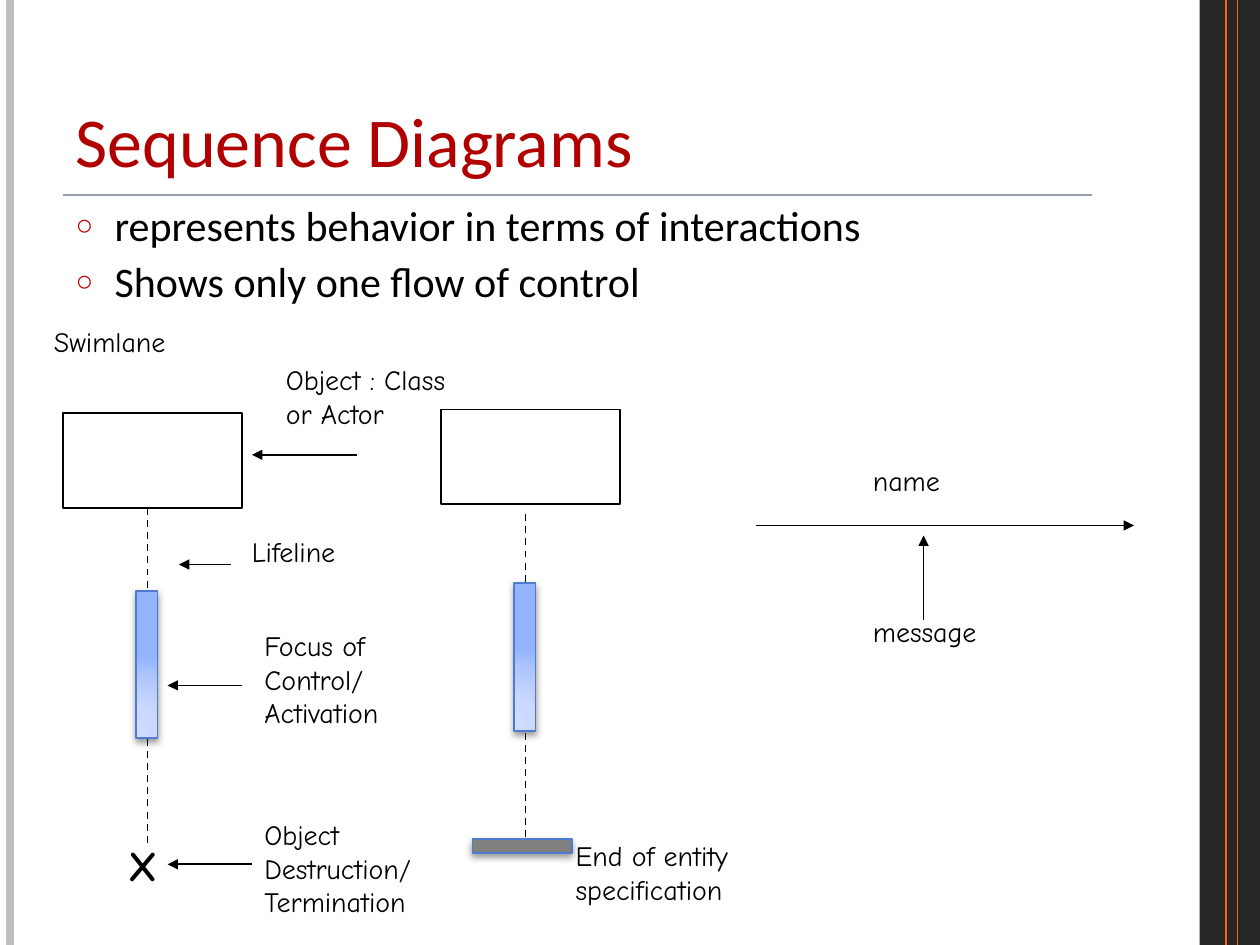
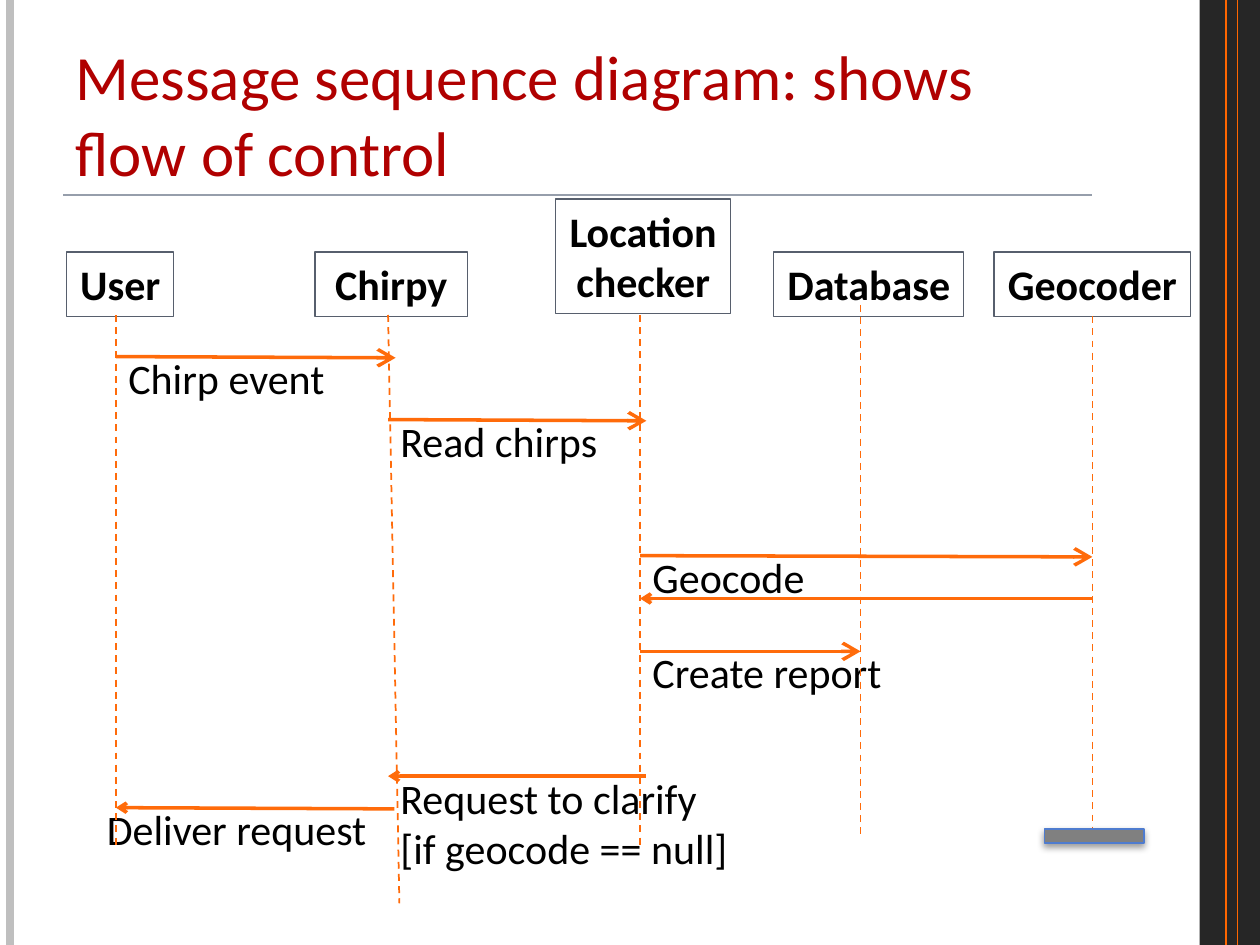
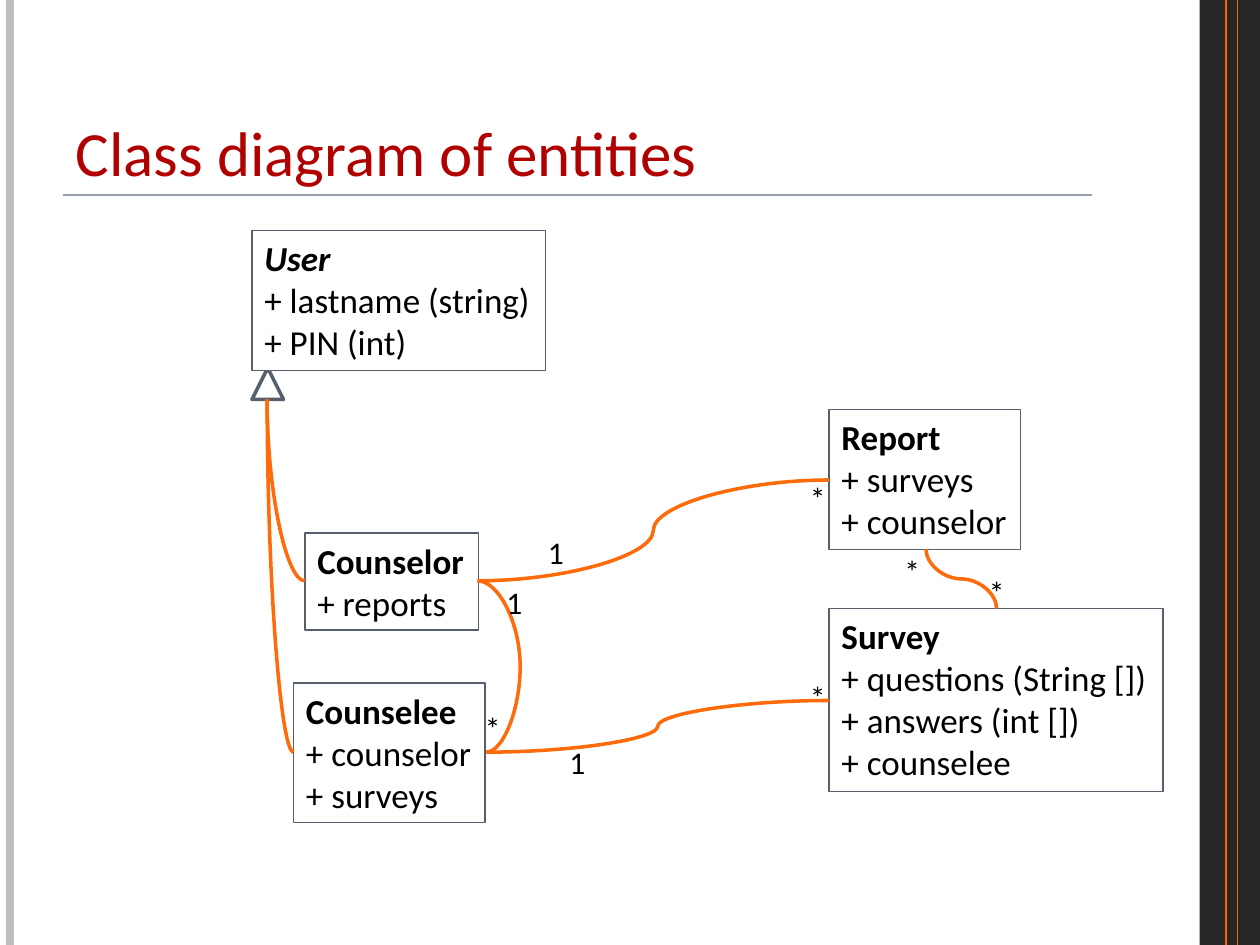
from lxml import etree
from pptx import Presentation
from pptx.dml.color import RGBColor
from pptx.enum import dml, shapes, text
from pptx.oxml.ns import qn
from pptx.util import Inches, Pt

BLACK = RGBColor(0x00, 0x00, 0x00)
WHITE = RGBColor(0xFF, 0xFF, 0xFF)
TITLE_RED = RGBColor(0xB0, 0x00, 0x00)
BULLET_RED = RGBColor(0xC0, 0x00, 0x00)
BAND_DARK = RGBColor(0x26, 0x26, 0x26)
EDGE_GRAY = RGBColor(0xBF, 0xBF, 0xBF)
RULE_GRAY = RGBColor(0x96, 0x9E, 0xAB)
STRIPE_ORANGE = RGBColor(0xFF, 0x66, 0x00)
ORANGE = RGBColor(0xFF, 0x6B, 0x0A)
SLATE = RGBColor(0x57, 0x5F, 0x6D)
BAR_BLUE = RGBColor(0x4F, 0x7C, 0xCF)
BAR_GRAY = RGBColor(0x80, 0x80, 0x80)
FOCUS_STOPS = [
    (0, RGBColor(0xCF, 0xDC, 0xFF)),
    (30, RGBColor(0xCB, 0xD9, 0xFF)),
    (75, RGBColor(0xAF, 0xC6, 0xFF)),
    (100, RGBColor(0x95, 0xB4, 0xFF)),
]

SANS = "Calibri"
HAND = "Comic Neue"
TITLE_AT = (0.5, 0.3, 8.17, 1.25)


def add_child(parent, tag, **attributes):
    return etree.SubElement(parent, qn(tag), {k: str(v) for k, v in attributes.items()})


def place(shape, at):
    shape.left, shape.top, shape.width, shape.height = map(Inches, at)


def format_para(para, size, font=SANS, color=BLACK, bold=False, italic=False):
    for span in para.runs:
        span.font.name = font
        span.font.size = Pt(size)
        span.font.color.rgb = color
        span.font.bold = bold
        span.font.italic = italic


def add_page(deck, layout, title, size, at=TITLE_AT):
    page = deck.slides.add_slide(deck.slide_layouts.get_by_name(layout))
    box = page.shapes.title
    place(box, at)
    frame = box.text_frame
    frame.text = title
    frame.auto_size = text.MSO_AUTO_SIZE.NONE
    frame.vertical_anchor = text.MSO_ANCHOR.BOTTOM
    frame.paragraphs[0].alignment = text.PP_ALIGN.LEFT
    format_para(frame.paragraphs[0], size, color=TITLE_RED)
    return page


def add_bullets(page, at, items):
    box = page.placeholders[1]
    place(box, at)
    frame = box.text_frame
    frame.text = "\n".join(items)
    frame.auto_size = text.MSO_AUTO_SIZE.NONE
    for index, para in enumerate(frame.paragraphs):
        props = para._p.get_or_add_pPr()
        props.set("marL", str(Inches(0.31)))
        props.set("indent", str(-Inches(0.31)))
        add_child(add_child(props, "a:buClr"), "a:srgbClr", val=BULLET_RED)
        add_child(props, "a:buSzPct", val=70000)
        add_child(props, "a:buChar", char="○")
        para.line_spacing = 0.9
        para.space_before = Pt(6 if index else 0)
        format_para(para, 24)


def add_label(page, at, words, size=16, font=HAND, bold=False, wrap=False):
    box = page.shapes.add_textbox(*map(Inches, at))
    frame = box.text_frame
    frame.text = words
    frame.word_wrap = wrap
    frame.auto_size = text.MSO_AUTO_SIZE.SHAPE_TO_FIT_TEXT
    for para in frame.paragraphs:
        format_para(para, size, font, bold=bold)
    return box


def frame_box(box):
    box.fill.solid()
    box.fill.fore_color.rgb = WHITE
    box.line.color.rgb = SLATE
    box.line.width = Pt(0.75)


def add_participant(page, at, name):
    box = add_label(page, at, name, 24, SANS, bold=True)
    frame_box(box)
    for para in box.text_frame.paragraphs:
        para.alignment = text.PP_ALIGN.CENTER


def add_class(page, at, name, members, abstract=False):
    box = add_label(page, at, "\n".join([name, *members]), 20, SANS)
    frame_box(box)
    format_para(box.text_frame.paragraphs[0], 20, bold=True, italic=abstract)


def add_block(page, at, fill=None, line=None, width=1, kind=shapes.MSO_SHAPE.RECTANGLE):
    block = page.shapes.add_shape(kind, *map(Inches, at))
    block.shadow.inherit = False
    if fill is None:
        block.fill.background()
    else:
        block.fill.solid()
        block.fill.fore_color.rgb = fill
    if line is None:
        block.line.fill.background()
    else:
        block.line.color.rgb = line
        block.line.width = Pt(width)
    return block


def add_shadow(shape, color=BLACK, opacity=40, blur=4, distance=2):
    effects = shape.element.spPr.find(qn("a:effectLst"))
    shadow = add_child(effects, "a:outerShdw", blurRad=Pt(blur), dist=Pt(distance),
                       dir=5400000, rotWithShape=0)
    add_child(add_child(shadow, "a:srgbClr", val=color), "a:alpha", val=opacity * 1000)


def add_focus_bar(page, left, top):
    bar = add_block(page, (left, top, 0.17, 1.17), WHITE, BAR_BLUE)
    add_shadow(bar)
    props = bar.element.spPr
    gradient = etree.Element(qn("a:gradFill"), rotWithShape="1")
    stops = add_child(gradient, "a:gsLst")
    for position, color in FOCUS_STOPS:
        add_child(add_child(stops, "a:gs", pos=position * 1000), "a:srgbClr", val=color)
    circle = add_child(gradient, "a:path", path="circle")
    add_child(circle, "a:fillToRect", l=5000, t=100000, r=120000, b=10000)
    props.replace(props.find(qn("a:solidFill")), gradient)


def add_end_bar(page, left, top):
    add_shadow(add_block(page, (left, top, 0.79, 0.11), BAR_GRAY, BAR_BLUE))


def add_line(page, start, end, color=BLACK, width=1, dashed=False, head=None, tail=None,
             arrow_size="med", kind=shapes.MSO_CONNECTOR.STRAIGHT):
    line = page.shapes.add_connector(kind, *map(Inches, (*start, *end)))
    line.line.color.rgb = color
    line.line.width = Pt(width)
    if dashed:
        line.line.dash_style = dml.MSO_LINE.DASH
    props = line.element.spPr
    for tag, arrow in (("a:headEnd", head), ("a:tailEnd", tail)):
        if arrow:
            add_child(props.find(qn("a:ln")), tag, type=arrow, w=arrow_size, len=arrow_size)
    add_child(props, "a:effectLst")
    return line


def add_curve(page, start, end, vertical=False, bend=0.5, preset="curvedConnector3"):
    (x1, y1), (x2, y2) = start, end
    if vertical:
        middle_x, middle_y = (x1 + x2) / 2, (y1 + y2) / 2
        half_x, half_y = (x2 - x1) / 2, (y2 - y1) / 2
        start = (middle_x + half_y, middle_y - half_x)
        end = (middle_x - half_y, middle_y + half_x)
    curve = add_line(page, start, end, ORANGE, 2, kind=shapes.MSO_CONNECTOR.CURVE)
    props = curve.element.spPr
    if vertical:
        props.find(qn("a:xfrm")).set("rot", str(270 * 60000))
    geometry = props.find(qn("a:prstGeom"))
    geometry.set("prst", preset)
    if preset == "curvedConnector3":
        add_child(geometry.find(qn("a:avLst")), "a:gd", name="adj1",
                  fmla=f"val {round(bend * 100000)}")


def decorate_master(deck, page):
    band = add_block(page, (9.52, 0, 0.48, 7.5), BAND_DARK)
    add_shadow(band, WHITE, 100, 4, 4)
    decor = [
        band,
        add_line(page, (0.08, 0), (0.08, 7.5), EDGE_GRAY, 4.5),
        add_line(page, (9.73, 0), (9.73, 7.5), STRIPE_ORANGE, 0.75),
        add_line(page, (9.82, 0), (9.82, 7.5), STRIPE_ORANGE, 0.75),
        add_line(page, (0.5, 1.55), (8.67, 1.55), RULE_GRAY, 1),
    ]
    for number, shape in enumerate(decor, start=101):
        shape.element.xpath(".//p:cNvPr")[0].set("id", str(number))
        deck.slide_master.shapes.element.append(shape.element)


def build_notation(deck):
    page = add_page(deck, "Title and Content", "Sequence Diagrams", 40, (0.5, 0.51, 8.3, 0.98))
    decorate_master(deck, page)
    add_bullets(page, (0.5, 1.58, 8.17, 0.92), [
        "represents behavior in terms of interactions",
        "Shows only one flow of control",
    ])
    for left, top, line_x, line_top, focus_top in (
        (0.5, 3.28, 1.17, 4.03, 4.69),
        (3.5, 3.25, 4.17, 4.08, 4.63),
    ):
        add_block(page, (left, top, 1.42, 0.75), line=BLACK)
        add_line(page, (line_x, line_top), (line_x, line_top + 2.66), dashed=True)
        add_focus_bar(page, line_x - 0.09, focus_top)
    add_end_bar(page, 3.75, 6.66)
    for at, words in (
        ((2.17, 2.83, 1.68, 0.64), "Object : Class\nor Actor"),
        ((0.33, 2.53, 1.16, 0.37), "Swimlane"),
        ((1.9, 4.19, 0.99, 0.37), "Lifeline"),
        ((2, 6.44, 1.62, 0.94), "Object\nDestruction/\nTermination"),
        ((2, 4.94, 1.28, 0.91), "Focus of\nControl/\nActivation"),
        ((4.47, 6.61, 1.6, 0.64), "End of entity\nspecification"),
        ((6.83, 4.83, 1.09, 0.37), "message"),
        ((6.83, 3.63, 0.73, 0.37), "name"),
    ):
        add_label(page, at, words)
    add_label(page, (0.92, 6.61, 0.44, 0.5), "X", 24, bold=True)
    for start, end in (
        ((2.83, 3.61), (2, 3.61)),
        ((1.83, 4.48), (1.42, 4.48)),
        ((2, 6.86), (1.33, 6.86)),
        ((1.92, 5.44), (1.33, 5.44)),
        ((6, 4.17), (9, 4.17)),
        ((7.33, 4.92), (7.33, 4.25)),
    ):
        add_line(page, start, end, tail="triangle")


def build_messages(deck):
    page = add_page(deck, "Title Only", "Message sequence diagram: shows\vflow of control", 36)
    for at, name in (
        ((0.53, 2, 0.85, 0.51), "User"),
        ((2.5, 2, 1.21, 0.51), "Chirpy"),
        ((4.41, 1.58, 1.39, 0.91), "Location\nchecker"),
        ((6.14, 2, 1.51, 0.51), "Database"),
        ((7.89, 2, 1.56, 0.51), "Geocoder"),
    ):
        add_participant(page, at, name)
    for at, words in (
        ((0.92, 2.75, 2.17, 0.51), "Chirp event"),
        ((3.08, 3.25, 2, 0.51), "Read chirps"),
        ((3.08, 6.08, 2.83, 0.91), "Request to clarify\v[if geocode == null]"),
        ((0.75, 6.33, 2.33, 0.51), "Deliver request"),
        ((5.08, 4.33, 2.17, 0.51), "Geocode"),
        ((5.08, 5.08, 2.92, 0.51), "Create report"),
    ):
        add_label(page, at, words, 24, SANS, wrap=True)
    for start, end in (
        ((8.67, 2.51), (8.67, 6.67)),
        ((6.83, 2.42), (6.83, 6.65)),
        ((5.08, 2.5), (5.08, 6.73)),
        ((3.08, 2.5), (3.17, 7.17)),
        ((0.92, 2.5), (0.92, 6.73)),
    ):
        add_line(page, start, end, ORANGE, dashed=True)
    for start, end in (
        ((0.92, 2.83), (3.14, 2.84)),
        ((3.08, 3.33), (5.13, 3.34)),
        ((5.08, 4.41), (8.67, 4.42)),
        ((5.08, 5.17), (6.83, 5.17)),
    ):
        add_line(page, start, end, ORANGE, 2, tail="arrow", arrow_size="lg")
    for start, end in (
        ((3.08, 6.16), (5.13, 6.16)),
        ((0.92, 6.41), (3.13, 6.42)),
        ((5.08, 4.75), (8.67, 4.75)),
    ):
        add_line(page, start, end, ORANGE, 2, head="arrow")
    add_end_bar(page, 8.29, 6.58)


def build_classes(deck):
    page = add_page(deck, "Title Only", "Class diagram of entities", 36)
    add_block(page, (2, 2.92, 0.25, 0.25), WHITE, SLATE, 2, shapes.MSO_SHAPE.ISOSCELES_TRIANGLE)
    add_class(page, (2, 1.83, 2.33, 1.11), "User",
              ["+ lastname (string)", "+ PIN (int)"], abstract=True)
    for at, name, members in (
        ((2.42, 4.23, 1.38, 0.77), "Counselor", ["+ reports"]),
        ((2.33, 5.42, 1.52, 1.11), "Counselee", ["+ counselor", "+ surveys"]),
        ((6.58, 4.83, 2.65, 1.45), "Survey",
         ["+ questions (String [])", "+ answers (int [])", "+ counselee"]),
        ((6.58, 3.25, 1.52, 1.11), "Report", ["+ surveys", "+ counselor"]),
    ):
        add_class(page, at, name, members)
    counselor, counselee, parent = (3.79, 4.61), (3.86, 5.97), (2.12, 3.17)
    for child in ((2.42, 4.61), (2.33, 5.97)):
        add_curve(page, parent, child, vertical=True, preset="curvedConnector2")
    add_curve(page, counselee, counselor, bend=-3.84)
    add_curve(page, counselee, (6.58, 5.56))
    add_curve(page, (7.35, 4.36), (7.91, 4.83), vertical=True)
    add_curve(page, (6.58, 3.81), counselor)
    for left, top, count in (
        (3.92, 4.58, "1"),
        (3.75, 5.58, "*"),
        (4.42, 5.85, "1"),
        (6.33, 5.33, "*"),
        (7.08, 4.33, "*"),
        (7.75, 4.5, "*"),
        (4.25, 4.18, "1"),
        (6.33, 3.75, "*"),
    ):
        add_label(page, (left, top, 0.33, 0.4), count, 18, SANS)


def main():
    deck = Presentation()
    deck.slide_width = Inches(10)
    deck.slide_height = Inches(7.5)
    build_notation(deck)
    build_messages(deck)
    build_classes(deck)
    deck.save("out.pptx")


if __name__ == "__main__":
    main()
